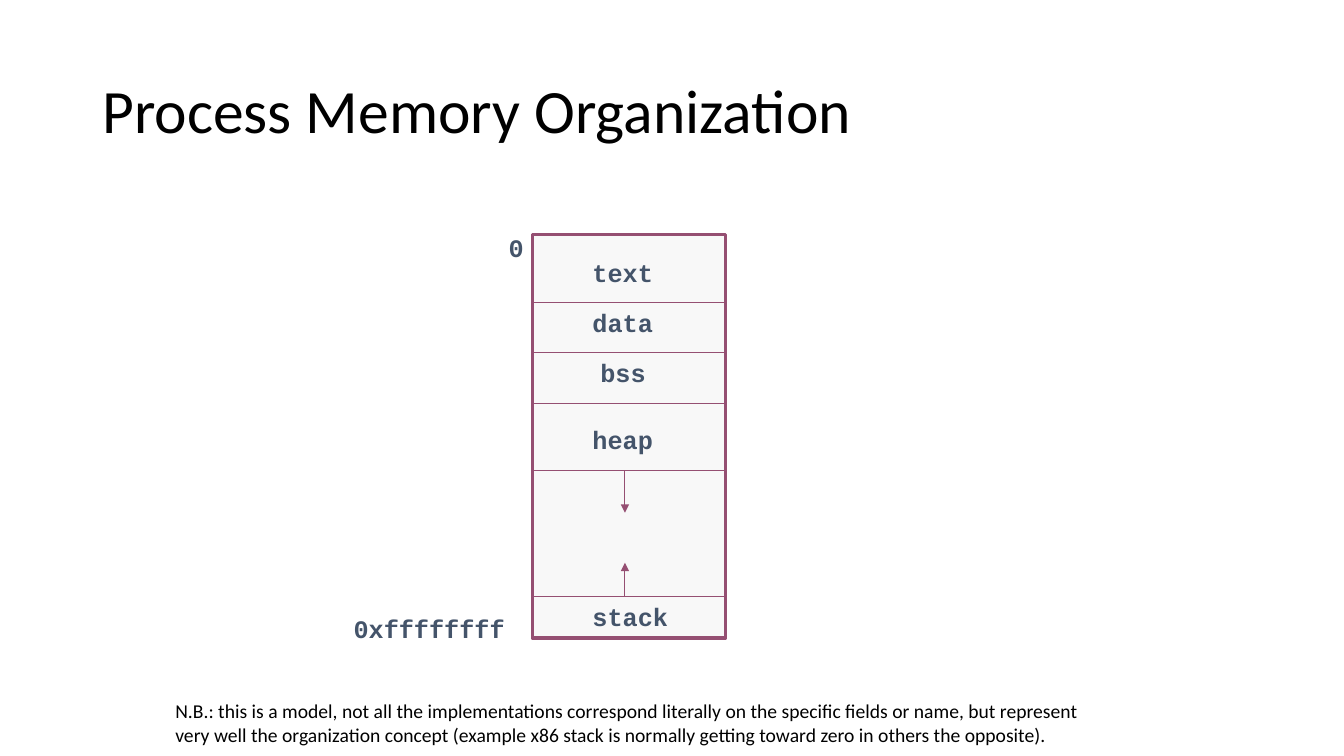
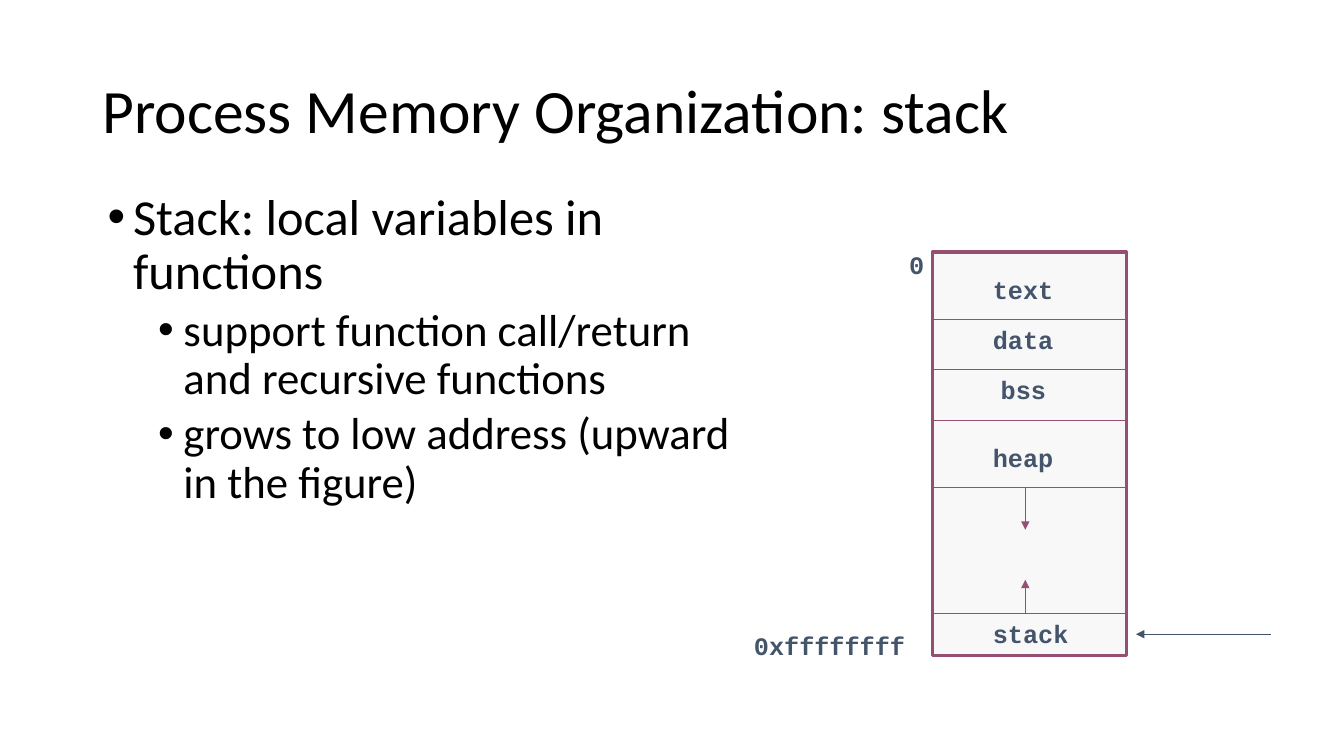
from lxml.etree import SubElement
from pptx import Presentation
from pptx.dml.color import RGBColor
from pptx.enum.shapes import MSO_CONNECTOR, MSO_SHAPE
from pptx.enum.text import MSO_ANCHOR, MSO_AUTO_SIZE, PP_ALIGN
from pptx.oxml.ns import qn
from pptx.util import Cm, Pt

BLACK, SLATE, PLUM, PALE = "000000", "44546A", "954F72", "F8F8F8"
SANS, MONO = "Calibri", "Courier New"

# Memory areas from low to high address: name, height, label indent (cm)
AREAS = [
    ("text", 1.7, 1.27),
    ("data", 1.27, 1.27),
    ("bss", 1.27, 1.47),
    ("heap", 1.69, 1.27),
    ("", 3.17, 0),
    ("stack", 1.06, 1.27),
]
WIDTH = 4.88
HEIGHT = sum(area[1] for area in AREAS)
MIDDLE = 2.34


def paint(target, color):
    """Give a fill or line format one solid colour."""
    target.solid()
    target.fore_color.rgb = RGBColor.from_string(color)


def style(par, face, size, color, bold=False):
    font = par.font
    font.name, font.size, font.bold = face, Pt(size), bold
    font.color.rgb = RGBColor.from_string(color)


def place(shape, left, top, width, height):
    shape.left, shape.top = Cm(left), Cm(top)
    shape.width, shape.height = Cm(width), Cm(height)


def add_text(slide, text, left, top, width, height=1.02):
    """Add a wrapping text box and return its frame."""
    box = slide.shapes.add_textbox(Cm(left), Cm(top), Cm(width), Cm(height))
    frame = box.text_frame
    frame.word_wrap = True
    frame.text = text
    return frame


def add_label(slide, text, left, top, width):
    frame = add_text(slide, text, left, top, width)
    style(frame.paragraphs[0], MONO, 18, SLATE, True)


def add_line(slide, start, end, color=PLUM, arrow=False):
    line = slide.shapes.add_connector(
        MSO_CONNECTOR.STRAIGHT, *map(Cm, start + end))
    paint(line.line.fill, color)
    line.line.width = Pt(0.75)
    if arrow:
        SubElement(line.line._get_or_add_ln(), qn("a:tailEnd"), type="triangle")
    SubElement(line._element.spPr, qn("a:effectLst"))


def add_map(slide, left, top):
    """Draw the memory column with its areas, addresses and growth arrows."""
    rect = slide.shapes.add_shape(
        MSO_SHAPE.RECTANGLE, Cm(left), Cm(top), Cm(WIDTH), Cm(HEIGHT))
    rect.shadow.inherit = False
    paint(rect.fill, PALE)
    paint(rect.line.fill, PLUM)
    rect.line.width = Pt(2.25)

    add_label(slide, "0", left - 0.84, top - 0.2, 1.07)
    add_label(slide, "0xffffffff", left - 4.75, top + 9.42, 4.4)

    upper, center = top, left + MIDDLE
    for name, height, indent in AREAS:
        lower = upper + height
        if upper > top:
            add_line(slide, (left, upper), (left + WIDTH, upper))
        if name:
            add_label(slide, name, left + indent, max(upper, lower - 1.27), 3.18)
        else:
            add_line(slide, (center, upper), (center, upper + 1.07), arrow=True)
            add_line(slide, (center, lower), (center, lower - 0.84), arrow=True)
        upper = lower


def add_slide(deck, layout, text):
    """Add a slide with the shared title style."""
    slide = deck.slides.add_slide(deck.slide_layouts[layout])
    title = slide.shapes.title
    place(title, 2.33, 1.02, 29.21, 3.68)
    frame = title.text_frame
    frame.text = text
    frame.auto_size = MSO_AUTO_SIZE.NONE
    frame.vertical_anchor = MSO_ANCHOR.MIDDLE
    par = frame.paragraphs[0]
    par.alignment, par.line_spacing = PP_ALIGN.LEFT, 0.9
    style(par, SANS, 44, BLACK)
    return slide


def add_list(slide, items):
    """Fill the body placeholder with (level, text) bullets."""
    body = slide.placeholders[1]
    place(body, 2.46, 4.7, 16.28, 11.43)
    frame = body.text_frame
    frame.auto_size = MSO_AUTO_SIZE.NONE
    frame.text = "\n".join(text for _, text in items)
    for par, (level, _) in zip(frame.paragraphs, items):
        par.level = level
        par.line_spacing, par.space_before = 0.9, Pt(5 * level)
        props = par._p.get_or_add_pPr()
        props.set("marL", str(Cm(0.64 + 1.27 * level)))
        props.set("indent", str(Cm(-0.64)))
        SubElement(props, qn("a:buFont"), typeface="Arial")
        SubElement(props, qn("a:buChar"), char="•")
        style(par, SANS, 36 - 4 * level, BLACK)


def add_note(slide, text):
    frame = add_text(slide, text, 4.17, 17.37, 23.47, 1.07)
    frame.margin_top = frame.margin_bottom = Cm(0.25)
    style(frame.paragraphs[0], SANS, 14, BLACK)


def main():
    deck = Presentation()
    deck.slide_width, deck.slide_height = Cm(33.87), Cm(19.05)

    slide = add_slide(deck, 5, "Process Memory Organization")
    add_map(slide, 13.41, 5.92)
    add_note(slide, "N.B.: this is a model, not all the implementations "
             "correspond literally on the specific fields or name, but "
             "represent very well the organization concept (example x86 stack "
             "is normally getting toward zero in others the opposite).")

    slide = add_slide(deck, 1, "Process Memory Organization: stack")
    add_list(slide, [
        (0, "Stack: local variables in functions"),
        (1, "support function call/return and recursive functions"),
        (1, "grows to low address (upward in the figure)"),
    ])
    add_map(slide, 23.5, 6.35)
    add_line(slide, (32.03, 15.98), (28.63, 15.98), SLATE, arrow=True)

    deck.save("out.pptx")


if __name__ == "__main__":
    main()
